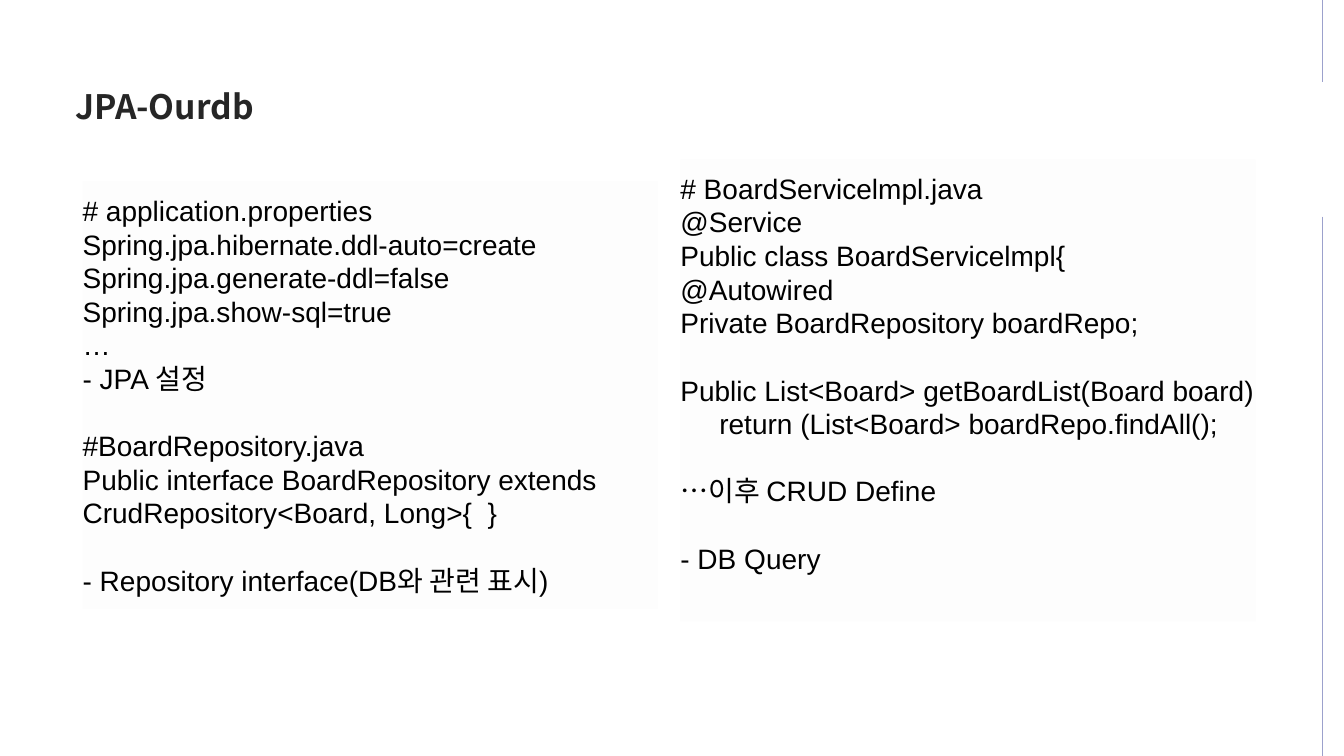
"""Builds the JPA-Ourdb slide with two code panels."""
from dataclasses import dataclass

from pptx import Presentation
from pptx.dml.color import RGBColor
from pptx.enum.shapes import MSO_CONNECTOR, MSO_SHAPE
from pptx.enum.text import MSO_ANCHOR, PP_ALIGN
from pptx.oxml.ns import qn
from pptx.util import Pt


@dataclass(frozen=True)
class Theme:
    heading: RGBColor = RGBColor(0x26, 0x26, 0x26)
    code: RGBColor = RGBColor(0x00, 0x00, 0x00)
    panel: RGBColor = RGBColor(0xFD, 0xFD, 0xFD)
    rule: RGBColor = RGBColor(0x9C, 0xA1, 0xCC)
    heading_size: int = 24
    code_size: int = 20
    code_pitch: int = 24
    latin: str = "Arial"
    korean: str = "Noto Sans CJK KR"


theme = Theme()


def write_line(paragraph, text, *, size, font, color, bold=False,
               pitch=None, before=0, indent=0):
    """Fill one paragraph with formatted text."""
    paragraph.alignment = PP_ALIGN.LEFT
    paragraph.space_before = Pt(before)
    if pitch:
        paragraph.line_spacing = Pt(pitch)
    if indent:
        paragraph._p.get_or_add_pPr().set("marL", str(Pt(indent)))
    run = paragraph.add_run()
    run.text = text
    run.font.size = Pt(size)
    run.font.name = font
    run.font.bold = bold
    run.font.color.rgb = color
    east_asian = run._r.get_or_add_rPr().makeelement(
        qn("a:ea"), {"typeface": theme.korean})
    run.font._element.find(qn("a:latin")).addnext(east_asian)


deck = Presentation()
deck.slide_width, deck.slide_height = Pt(960), Pt(540)
slide = deck.slides.add_slide(deck.slide_layouts[6])

for top, bottom in [(154.8, 540), (0, 58.3)]:
    edge = slide.shapes.add_connector(
        MSO_CONNECTOR.STRAIGHT, Pt(944.6), Pt(top), Pt(944.6), Pt(bottom))
    edge.line.color.rgb = theme.rule
    edge.line.width = Pt(0.5)
    edge_format = edge._element.spPr
    edge_format.append(edge_format.makeelement(qn("a:effectLst"), {}))

heading = slide.shapes.add_textbox(Pt(46.8), Pt(57.6), Pt(237.6), Pt(36))
heading.text_frame.word_wrap = True
write_line(heading.text_frame.paragraphs[0], "JPA-Ourdb", bold=True,
           size=theme.heading_size, font=theme.korean, color=theme.heading)

configuration = [
    ["# application.properties",
     "Spring.jpa.hibernate.ddl-auto=create",
     "Spring.jpa.generate-ddl=false",
     "Spring.jpa.show-sql=true",
     "…",
     "- JPA 설정"],
    ["#BoardRepository.java",
     "Public interface BoardRepository extends CrudRepository<Board, Long>{  }"],
    ["- Repository interface(DB와 관련 표시)"],
]
service = [
    ["# BoardServicelmpl.java",
     "@Service",
     "Public class BoardServicelmpl{",
     "@Autowired",
     "Private BoardRepository boardRepo;"],
    ["Public List<Board> getBoardList(Board board)",
     "return (List<Board> boardRepo.findAll();"],
    ["…이후 CRUD Define"],
    ["- DB Query"],
]

for left, top, height, sections in [
    (59, 129.6, 305.3, configuration),
    (486, 113.8, 329.8, service),
]:
    panel = slide.shapes.add_shape(
        MSO_SHAPE.RECTANGLE, Pt(left), Pt(top), Pt(411), Pt(height))
    panel.shadow.inherit = False
    panel.fill.solid()
    panel.fill.fore_color.rgb = theme.panel
    panel.line.fill.background()
    frame = panel.text_frame
    frame.word_wrap = True
    frame.vertical_anchor = MSO_ANCHOR.TOP
    frame.margin_left = frame.margin_right = 0
    frame.margin_top, frame.margin_bottom = Pt(8.6), Pt(7.2)
    for section_number, section in enumerate(sections):
        for line_number, code in enumerate(section):
            opens_section = line_number == 0
            opens_panel = opens_section and section_number == 0
            write_line(
                frame.paragraphs[0] if opens_panel else frame.add_paragraph(),
                code, size=theme.code_size, font=theme.latin, color=theme.code,
                pitch=theme.code_pitch,
                before=theme.code_pitch if opens_section and not opens_panel else 0,
                indent=27.8 if code.startswith("return") else 0)

deck.save("out.pptx")
